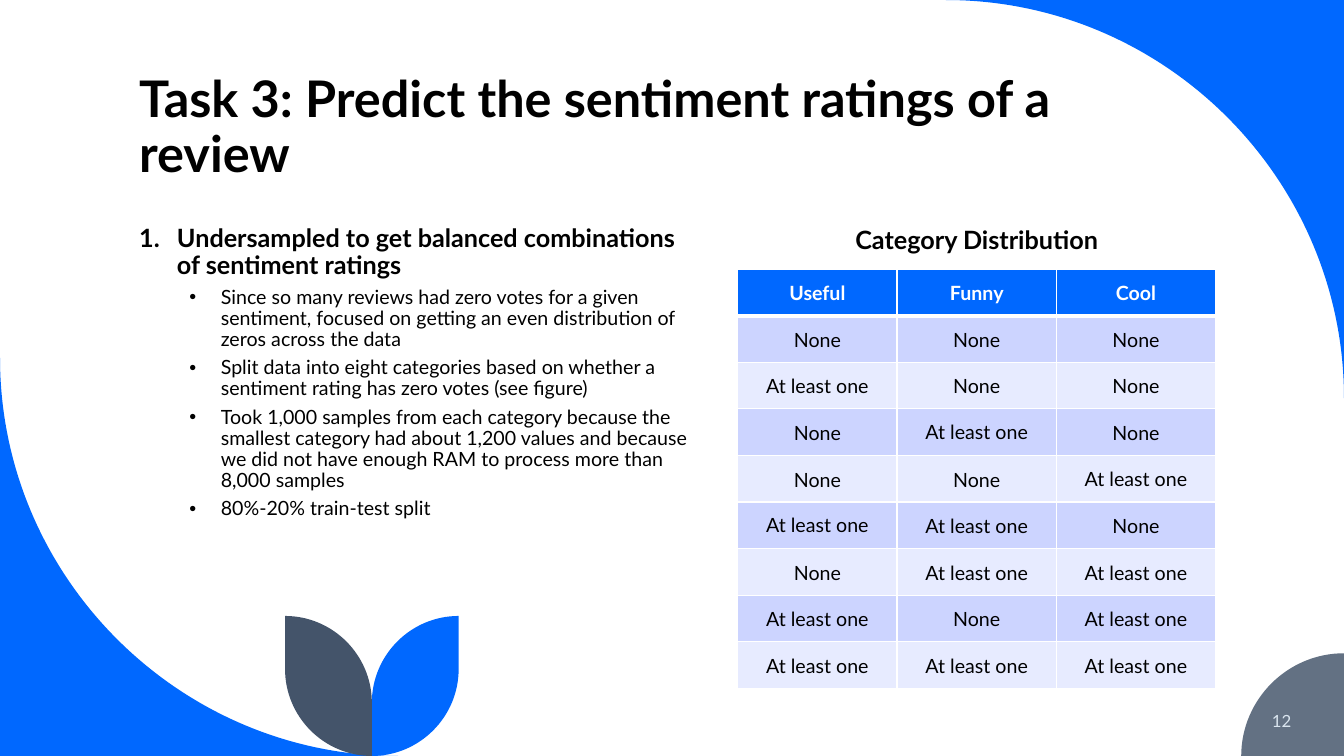
from lxml.etree import SubElement, fromstring
from pptx import Presentation
from pptx.dml.color import RGBColor as RGB
from pptx.enum.text import MSO_ANCHOR as Anchor, MSO_AUTO_SIZE as AutoSize, PP_ALIGN as Align
from pptx.oxml.ns import qn
from pptx.util import Pt

W, H = 960, 540
FONT = "Lato"
COLORS = {"blue": "0068FF", "slate": "44546A", "gray": "637183", "pale": "DAE5EF",
          "black": "000000", "white": "FFFFFF", "band": "CCD4FF", "light": "E7EBFF"}
A_NS = "http://schemas.openxmlformats.org/drawingml/2006/main"
ROUND = 0.55  # Bezier handle length of a quarter circle

TASK = "Undersampled to get balanced combinations of sentiment ratings"
DETAILS = [
    "Since so many reviews had zero votes for a given sentiment, focused on getting "
    "an even distribution of zeros across the data",
    "Split data into eight categories based on whether a sentiment rating has zero votes (see figure)",
    "Took 1,000 samples from each category because the smallest category had about 1,200 values "
    "and because we did not have enough RAM to process more than 8,000 samples",
    "80%-20% train-test split",
]
HEADERS = ["Useful", "Funny", "Cool"]
VOTES = ["000", "100", "010", "001", "110", "011", "101", "111"]
LABELS = {"0": "None", "1": "At least one"}
SINGLE_SPACED = {(3, 1), (4, 2), (5, 0)}


def color(name):
    return RGB.from_string(COLORS[name])


def line(end):
    return [end]


def quarter(start, corner, end):
    """Two handles and the end of a quarter circle that bends towards the corner."""
    handles = [tuple(a + ROUND * (c - a) for a, c in zip(p, corner)) for p in (start, end)]
    return handles + [end]


class SlideBuilder:
    def __init__(self, slide):
        self.slide = slide
        self.shapes = slide.shapes

    def outline(self, start, segments, fill):
        builder = self.shapes.build_freeform(*map(Pt, start))
        builder.add_line_segments([(Pt(x), Pt(y)) for seg in segments for x, y in seg], close=True)
        sp = builder.convert_to_shape()
        sp.shadow.inherit = False
        sp.fill.solid()
        sp.fill.fore_color.rgb = color(fill)
        sp.line.fill.background()
        # Join each group of three points into one curve
        nodes = iter(list(sp._element.iter(qn("a:lnTo"))))
        for seg in segments:
            group = [next(nodes) for _ in seg]
            if len(group) == 3:
                group[0].tag = qn("a:cubicBezTo")
                for node in group[1:]:
                    group[0].append(node[0])
                    node.getparent().remove(node)

    def wedge(self, start, side, corner, end, fill):
        self.outline(start, [line(side), quarter(side, corner, end)], fill)

    def format(self, p, size, fill="black", bold=False, align=Align.LEFT, spacing=1.0, before=0):
        p.alignment, p.line_spacing, p.space_before = align, spacing, Pt(before)
        for r in p.runs:
            r.font.name, r.font.size, r.font.bold = FONT, Pt(size), bold
            r.font.color.rgb = color(fill)

    def bullet(self, p, left, hanging, tag, **attrs):
        pPr = p._p.get_or_add_pPr()
        pPr.set("marL", str(Pt(left)))
        pPr.set("indent", str(Pt(-hanging)))
        SubElement(pPr, qn("a:buFont"), typeface="Arial" if tag == "a:buChar" else FONT)
        SubElement(pPr, qn(tag), **attrs)

    def place(self, sp, box, anchor):
        sp.left, sp.top, sp.width, sp.height = map(Pt, box)
        tf = sp.text_frame
        tf.word_wrap, tf.auto_size, tf.vertical_anchor = True, AutoSize.NONE, anchor
        return tf

    def title(self, text, box):
        tf = self.place(self.shapes.title, box, Anchor.BOTTOM)
        tf.text = text
        self.format(tf.paragraphs[0], 36, bold=True, spacing=0.9)

    def body(self, heading, details, box):
        tf = self.place(self.slide.placeholders[1], box, Anchor.TOP)
        tf.text = "\n".join([heading, *details])
        first, *rest = tf.paragraphs
        self.format(first, 18, bold=True, spacing=0.9, before=10)
        self.bullet(first, 27, 27, "a:buAutoNum", type="arabicPeriod")
        for p in rest:
            p.level = 1
            self.format(p, 14, spacing=0.9, before=5)
            self.bullet(p, 58.3, 22.5, "a:buChar", char="•")

    def text(self, text, box, size, anchor=Anchor.TOP, **style):
        tf = self.place(self.shapes.add_textbox(0, 0, 0, 0), box, anchor)
        tf.text = text
        self.format(tf.paragraphs[0], size, **style)

    def borders(self, cell, top, bottom):
        tcPr = cell._tc.get_or_add_tcPr()
        for i, (side, width) in enumerate(zip("LRTB", (1, 1, top, bottom))):
            tcPr.insert(i, fromstring(
                f'<a:ln{side} xmlns:a="{A_NS}" w="{Pt(width)}"><a:solidFill>'
                f'<a:srgbClr val="{COLORS["white"]}"/></a:solidFill></a:ln{side}>'))

    def table(self, rows, box):
        table = self.shapes.add_table(len(rows), len(rows[0]), *map(Pt, box)).table
        for i, row in enumerate(rows):
            header = i == 0
            fill = "blue" if header else "band" if i % 2 else "light"
            for j, text in enumerate(row):
                cell = table.cell(i, j)
                cell.text = text
                cell.vertical_anchor = Anchor.MIDDLE
                cell.margin_left = cell.margin_right = Pt(3.6)
                cell.margin_top = cell.margin_bottom = 0
                cell.fill.solid()
                cell.fill.fore_color.rgb = color(fill)
                self.borders(cell, 3 if i == 1 else 1, 3 if header else 1)
                self.format(cell.text_frame.paragraphs[0], 14, "white" if header else "black",
                            bold=header, align=Align.CENTER,
                            spacing=1.0 if (i, j) in SINGLE_SPACED else 1.07)


def main():
    prs = Presentation()
    prs.slide_width, prs.slide_height = Pt(W), Pt(H)
    s = SlideBuilder(prs.slides.add_slide(prs.slide_layouts[1]))

    # Corner decorations
    sweep, badge = 284.4, 73.4
    s.wedge((W, 0), (W, sweep), (W, 0), (W - sweep, 0), "blue")
    s.wedge((0, H), (0, H - sweep), (0, H), (sweep, H), "blue")
    s.wedge((W, H), (W, H - badge), (W - badge, H - badge), (W - badge, H), "gray")

    # Pair of mirrored leaves
    stem, leaf, top = 265.6, 62, 440
    for side, fill in ((1, "blue"), (-1, "slate")):
        edge = stem + side * leaf
        tip, shoulder = (edge, top), (edge, H - leaf)
        base, notch = (stem, H), (stem, top + leaf)
        s.outline(tip, [line(shoulder), quarter(shoulder, (edge, H), base),
                        line(notch), quarter(notch, (stem, top), tip)], fill)

    # Title and list
    s.title("Task 3: Predict the sentiment ratings of a review", (92.2, 30.2, 769.7, 104.4))
    s.body(TASK, DETAILS, (92.2, 157.7, 407.5, 231.8))

    # Slide number
    s.text("12", (799.2, 500.4, 130.3, 28.8), 12, Anchor.MIDDLE, fill="pale", align=Align.RIGHT)

    # Category table and its caption
    s.table([HEADERS] + [[LABELS[v] for v in votes] for votes in VOTES], (527, 192.2, 341.4, 299.7))
    s.text("Category Distribution", (589.7, 157, 216, 28.8), 18, bold=True, align=Align.CENTER)

    prs.save("out.pptx")


if __name__ == "__main__":
    main()
